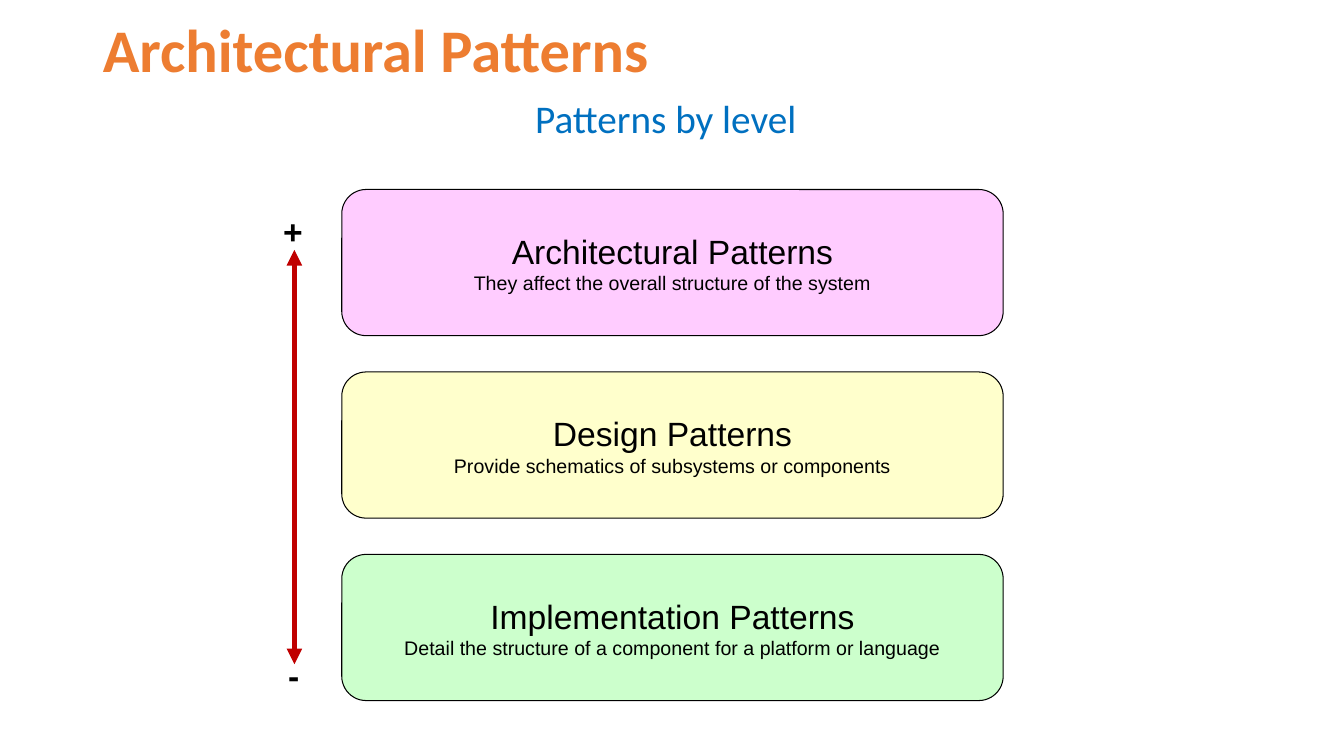
from lxml import etree
from pptx import Presentation
from pptx import util as u
from pptx.dml.color import RGBColor
from pptx.enum import shapes, text
from pptx.oxml.ns import qn

WIDTH, HEIGHT = 13.33, 7.5
TITLE = "Architectural Patterns"
SUBTITLE = "Patterns by level"
LEVELS = [
    ("Architectural Patterns", "They affect the overall structure of the system", "FFCCFF"),
    ("Design Patterns", "Provide schematics of subsystems or components", "FFFFCC"),
    ("Implementation Patterns", "Detail the structure of a component for a platform or language", "CCFFCC"),
]
CARD_LEFT, CARD_TOP, CARD_WIDTH, CARD_HEIGHT = 3.39, 1.88, 6.56, 1.45
ROW_PITCH = 1.81
AXIS_X, AXIS_TOP, AXIS_BOTTOM = 2.92, 2.48, 6.59
SIGNS = [("+", 2.71, 2.04, 0.4), ("-", 2.76, 6.45, 0.31)]


def color(value):
    return RGBColor.from_string(value)


def inches(*lengths):
    return [u.Inches(length) for length in lengths]


def write(paragraph, content, size, font="Arial", ink="000000", bold=False,
          align=text.PP_ALIGN.LEFT, spacing=None):
    run = paragraph.add_run()
    run.text = content
    run.font.size = u.Pt(size)
    run.font.name = font
    run.font.bold = bold
    run.font.color.rgb = color(ink)
    paragraph.alignment = align
    paragraph.line_spacing = spacing


def add_label(slide, box, content, wrap, **style):
    frame = slide.shapes.add_textbox(*inches(*box)).text_frame
    frame.word_wrap = wrap
    frame.auto_size = text.MSO_AUTO_SIZE.SHAPE_TO_FIT_TEXT
    write(frame.paragraphs[0], content, **style)


def add_title(slide):
    title = slide.shapes.title
    title.left, title.top, title.width, title.height = inches(0.92, 0.15, 11.5, 0.74)
    frame = title.text_frame
    frame.vertical_anchor = text.MSO_ANCHOR.MIDDLE
    frame.auto_size = text.MSO_AUTO_SIZE.NONE
    write(frame.paragraphs[0], TITLE, 43.2, font="Calibri", ink="ED7D31", bold=True, spacing=0.9)


def add_card(slide, row, heading, detail, fill):
    top = CARD_TOP + row * ROW_PITCH
    card = slide.shapes.add_shape(shapes.MSO_SHAPE.ROUNDED_RECTANGLE,
                                  *inches(CARD_LEFT, top, CARD_WIDTH, CARD_HEIGHT))
    card.shadow.inherit = False
    card.fill.solid()
    card.fill.fore_color.rgb = color(fill)
    card.line.color.rgb = color("000000")
    card.line.width = u.Pt(0.75)
    frame = card.text_frame
    frame.word_wrap = False
    frame.vertical_anchor = text.MSO_ANCHOR.MIDDLE
    write(frame.paragraphs[0], heading, 24, align=text.PP_ALIGN.CENTER)
    write(frame.add_paragraph(), detail, 14, align=text.PP_ALIGN.CENTER)


def add_axis(slide):
    axis = slide.shapes.add_connector(shapes.MSO_CONNECTOR.STRAIGHT,
                                      *inches(AXIS_X, AXIS_TOP, AXIS_X, AXIS_BOTTOM))
    axis.line.color.rgb = color("C00000")
    axis.line.width = u.Pt(3.75)
    line = axis.line._get_or_add_ln()
    for end in ("a:headEnd", "a:tailEnd"):
        etree.SubElement(line, qn(end), type="triangle")
    etree.SubElement(line.getparent(), qn("a:effectLst"))


def main():
    presentation = Presentation()
    presentation.slide_width, presentation.slide_height = inches(WIDTH, HEIGHT)
    slide = presentation.slides.add_slide(presentation.slide_layouts[5])
    add_title(slide)
    for row, level in enumerate(LEVELS):
        add_card(slide, row, *level)
    add_axis(slide)
    for sign, left, top, width in SIGNS:
        add_label(slide, (left, top, width, 0.78), sign, wrap=False, size=24, bold=True)
    add_label(slide, (5.21, 0.89, 2.91, 0.57), SUBTITLE, wrap=True,
              size=28, font="Calibri", ink="0070C0")
    presentation.save("out.pptx")


if __name__ == "__main__":
    main()
